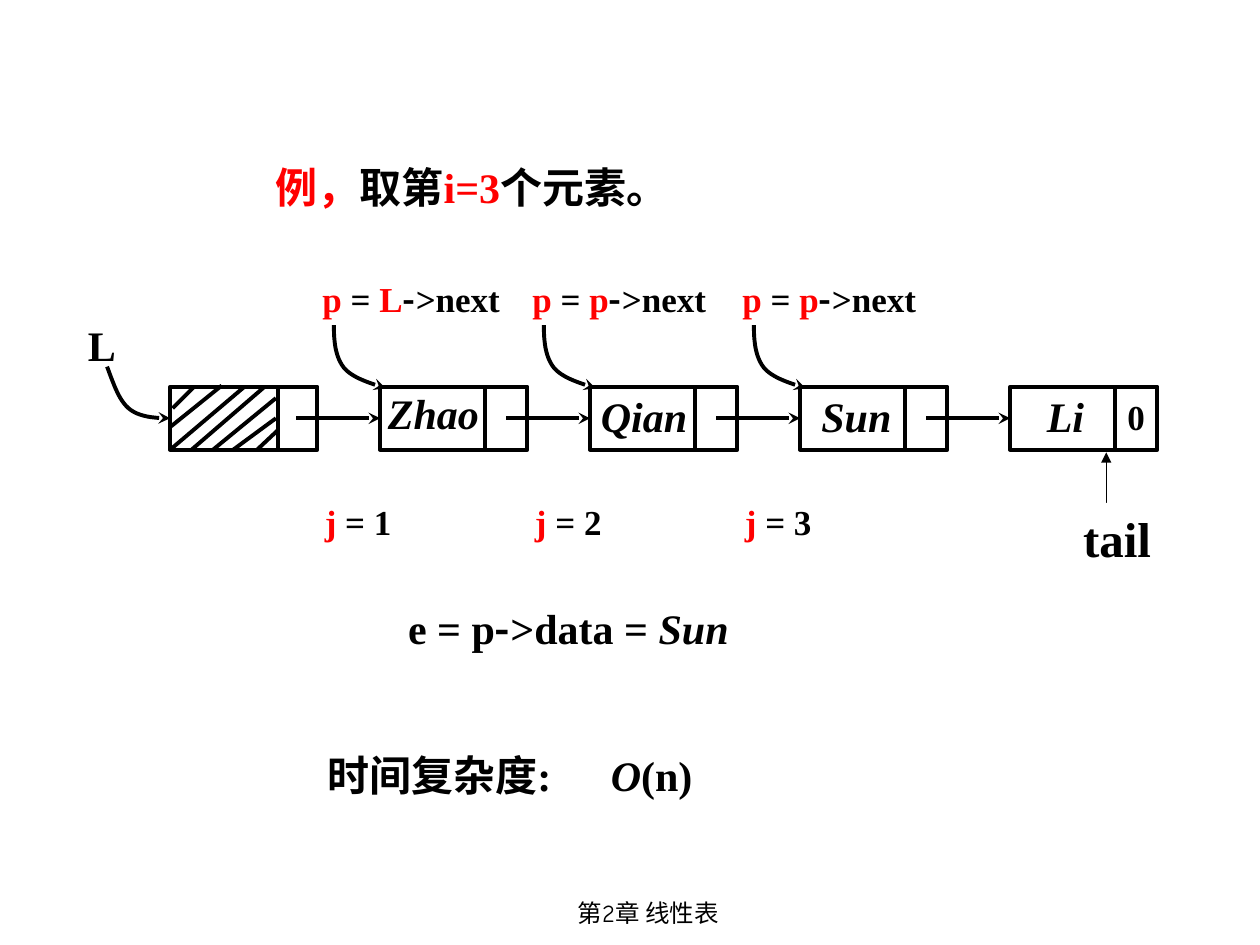
from dataclasses import dataclass

from lxml.etree import SubElement
from pptx import Presentation
from pptx.dml.color import RGBColor
from pptx.enum.shapes import MSO_CONNECTOR, MSO_SHAPE
from pptx.enum.text import MSO_ANCHOR, PP_ALIGN
from pptx.oxml.ns import qn
from pptx.util import Inches, Pt


@dataclass(frozen=True)
class Theme:
    black: RGBColor = RGBColor(0, 0, 0)
    red: RGBColor = RGBColor(255, 0, 0)
    white: RGBColor = RGBColor(255, 255, 255)
    serif: str = "Times New Roman"
    chinese: str = "Noto Sans CJK SC"
    footer_font: str = "Comic Neue"
    footer_size: int = 14
    label_size: int = 20
    body_size: int = 24
    tail_size: int = 28
    heavy_line: float = 2.25
    thin_line: float = 0.75


class SlideBuilder:
    def __init__(self, slide, theme):
        self.slide = slide
        self.theme = theme

    def add_runs(self, paragraph, pieces, size, font=None, bold=True):
        """Add runs; each piece is (text, marks): r red, i italic, c Chinese font."""
        for text, marks in pieces:
            run = paragraph.add_run()
            run.text = text
            latin = self.theme.chinese if "c" in marks else font or self.theme.serif
            run.font.name = latin
            run.font.size = Pt(size)
            run.font.bold = bold
            run.font.italic = "i" in marks
            run.font.color.rgb = self.theme.red if "r" in marks else self.theme.black
            properties = run._r.get_or_add_rPr()
            SubElement(properties, qn("a:ea")).set("typeface", self.theme.chinese)

    def text(self, left, top, width, pieces, size, align=PP_ALIGN.LEFT, **style):
        height = 0.5 if size != self.theme.label_size else 0.44
        box = self.slide.shapes.add_textbox(
            Inches(left), Inches(top), Inches(width), Inches(height))
        box.text_frame.word_wrap = True
        paragraph = box.text_frame.paragraphs[0]
        paragraph.alignment = align
        self.add_runs(paragraph, pieces, size, **style)

    def rectangle(self, left, top, width, height, fill=None):
        """Draw an outlined box, or a filled one without outline."""
        shape = self.slide.shapes.add_shape(
            MSO_SHAPE.RECTANGLE, Inches(left), Inches(top), Inches(width), Inches(height))
        shape.shadow.inherit = False
        if fill is None:
            shape.fill.background()
            self.stroke(shape, self.theme.heavy_line)
        else:
            shape.fill.solid()
            shape.fill.fore_color.rgb = fill
            shape.line.fill.background()
        return shape

    def stroke(self, shape, width, arrow=None):
        shape.line.color.rgb = self.theme.black
        shape.line.width = Pt(width)
        if arrow:
            outline = shape.element.spPr.find(qn("a:ln"))
            SubElement(outline, qn("a:tailEnd")).set("type", arrow)

    def line(self, start, end, arrow=None, width=None, target=None):
        """Draw a straight line, joined to the target's left side if given."""
        connector = self.slide.shapes.add_connector(
            MSO_CONNECTOR.STRAIGHT, *(Inches(value) for value in (*start, *end)))
        if target is not None:
            connector.end_connect(target, 1)
        self.stroke(connector, width or self.theme.heavy_line, arrow)
        SubElement(connector.element.spPr, qn("a:effectLst"))

    def curved_arrow(self, left, top, curves, steps=12):
        """Draw chained cubic curves whose points are offsets from left, top."""
        points = []
        start = (0, 0)
        for first, second, end in curves:
            for step in range(1, steps + 1):
                t = step / steps
                weights = ((1 - t) ** 3, 3 * t * (1 - t) ** 2, 3 * t * t * (1 - t), t ** 3)
                corners = (start, first, second, end)
                x, y = (sum(weight * corner[axis] for weight, corner in zip(weights, corners))
                        for axis in (0, 1))
                points.append((Inches(left + x), Inches(top + y)))
            start = end
        builder = self.slide.shapes.build_freeform(Inches(left), Inches(top))
        builder.add_line_segments(points, close=False)
        shape = builder.convert_to_shape()
        shape.shadow.inherit = False
        shape.fill.background()
        self.stroke(shape, self.theme.heavy_line, "stealth")


NODE_LEFT, NODE_TOP, NODE_WIDTH, NODE_HEIGHT = 1.35, 3.07, 1.17, 0.5
NODE_PITCH = 5 / 3
NODE_MIDDLE = NODE_TOP + NODE_HEIGHT / 2
NODE_BOTTOM = NODE_TOP + NODE_HEIGHT
HEAD_DIVIDER, DATA_DIVIDER = 0.86, 0.83
NODE_LABELS = [("Zhao", 2.98, 3.03), ("Qian", 4.67, 3.05), ("Sun", 6.42, 3.05), ("Li", 8.21, 3.05)]
HATCHING = [
    ((1.54, 3.07), (1.37, 3.24)), ((1.76, 3.06), (1.35, 3.39)),
    ((1.94, 3.07), (1.35, 3.57)), ((2.1, 3.07), (1.52, 3.57)),
    ((2.19, 3.16), (1.69, 3.57)), ((2.19, 3.32), (1.85, 3.57)),
    ((2.21, 3.41), (2.04, 3.57)),
]
STEP_CURVE = [((0, 0.13), (0.01, 0.25), (0.08, 0.34)), ((0.15, 0.42), (0.28, 0.46), (0.41, 0.5))]
HEAD_CURVE = [((0.05, 0.13), (0.09, 0.26), (0.17, 0.33)), ((0.25, 0.4), (0.38, 0.41), (0.5, 0.41))]


def draw_linked_list(builder):
    theme = builder.theme
    lefts = [NODE_LEFT + index * NODE_PITCH for index in range(5)]
    nodes = [builder.rectangle(left, NODE_TOP, NODE_WIDTH, NODE_HEIGHT) for left in lefts]
    for index, left in enumerate(lefts):
        divider = left + (DATA_DIVIDER if index else HEAD_DIVIDER)
        builder.line((divider, NODE_TOP), (divider, NODE_BOTTOM))
    for left, next_left, next_node in zip(lefts, lefts[1:], nodes[1:]):
        builder.line((left + 1, NODE_MIDDLE), (next_left, NODE_MIDDLE), "stealth", target=next_node)
    for start, end in HATCHING:
        builder.line(start, end)
    for name, left, top in NODE_LABELS:
        builder.text(left, top, 1.08, [(name, "i")], theme.body_size)
    builder.text(8.85, 3.09, 0.67, [("0", "")], theme.label_size)
    builder.text(0.6, 2.49, 0.83, [("L", "")], theme.body_size)
    builder.curved_arrow(0.85, 2.91, HEAD_CURVE)


def draw_tail(builder):
    theme = builder.theme
    builder.line((8.78, 4.07), (8.78, 3.59), "triangle", theme.thin_line)
    tail = builder.rectangle(8.47, 3.99, 0.79, 0.55, theme.white)
    tail.text_frame.word_wrap = False
    tail.text_frame.vertical_anchor = MSO_ANCHOR.MIDDLE
    paragraph = tail.text_frame.paragraphs[0]
    paragraph.alignment = PP_ALIGN.CENTER
    builder.add_runs(paragraph, [("tail", "")], theme.tail_size)


def draw_steps(builder):
    size = builder.theme.label_size
    for index, source in enumerate("Lpp"):
        left = 2.46 + index * NODE_PITCH
        assignment = [("p", "r"), (" = ", ""), (source, "r"), ("-", "c"), (">next", "")]
        builder.text(left, 2.15, 2.08, assignment, size)
        builder.text(left + 0.02, 3.92, 1.75, [("j", "r"), (f" = {index + 1}", "")], size)
        builder.curved_arrow(left + 0.19, 2.58, STEP_CURVE)


def main():
    presentation = Presentation()
    presentation.slide_width, presentation.slide_height = Inches(10), Inches(7.5)
    theme = Theme()
    builder = SlideBuilder(presentation.slides.add_slide(presentation.slide_layouts[6]), theme)
    heading = [("例，", "r"), ("取第", ""), ("i=3", "r"), ("个元素。", "")]
    builder.text(2.09, 1.23, 5.33, heading, theme.body_size)
    draw_steps(builder)
    result = [("e = p", ""), ("-", "c"), (">data = ", ""), ("Sun", "i")]
    builder.text(3.14, 4.73, 3.17, result, theme.body_size)
    builder.text(2.5, 5.9, 2.67, [("时间复杂度:", "")], theme.body_size)
    builder.text(4.75, 5.9, 2.67, [("O", "i"), ("(n)", "")], theme.body_size)
    draw_linked_list(builder)
    draw_tail(builder)
    builder.text(3.56, 7.08, 3.17, [("第2章 线性表", "")], theme.footer_size,
                 PP_ALIGN.CENTER, font=theme.footer_font, bold=False)
    presentation.save("out.pptx")


if __name__ == "__main__":
    main()
